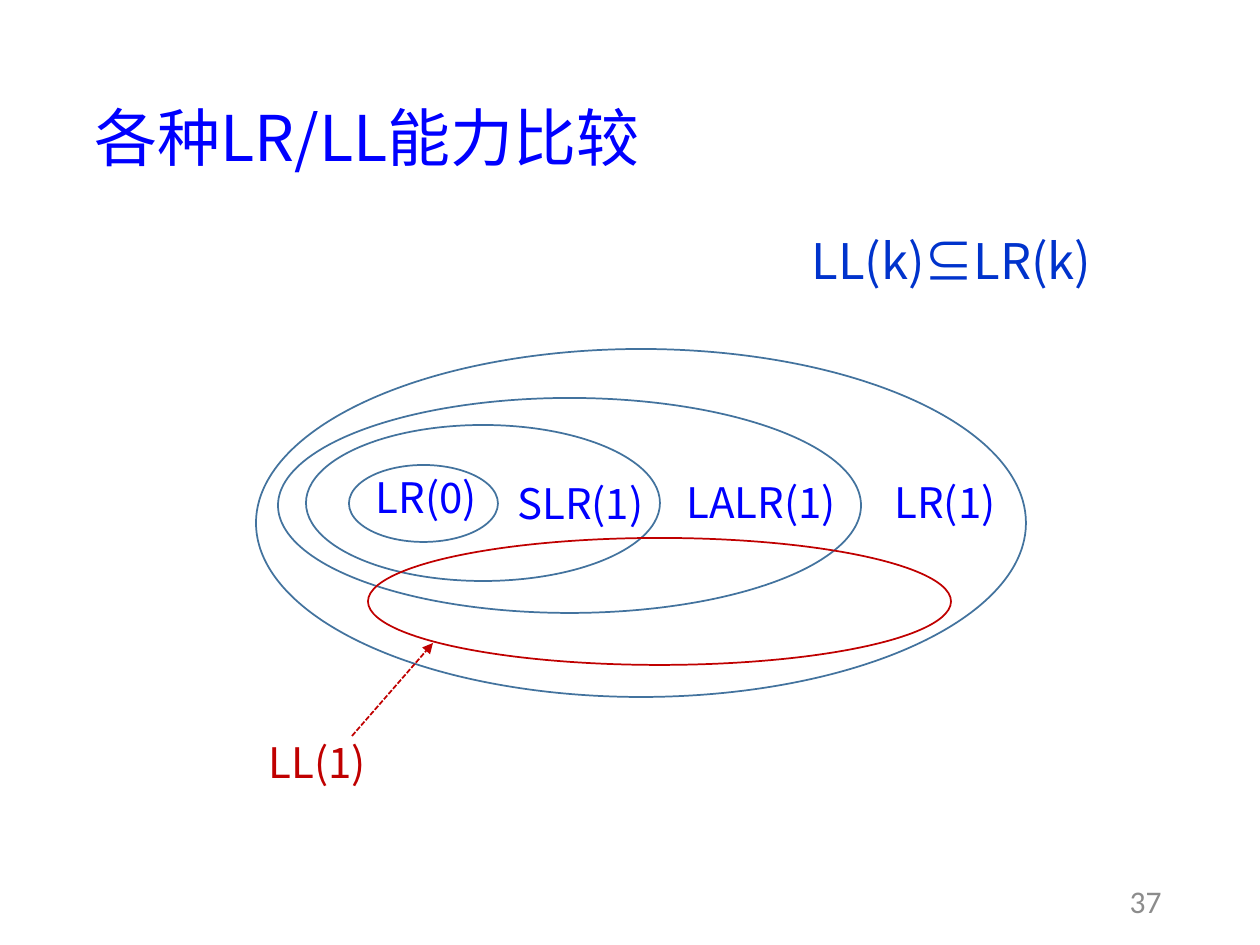
from lxml import etree
from pptx import Presentation
from pptx.dml.color import RGBColor
from pptx.enum.dml import MSO_LINE
from pptx.enum.shapes import MSO_CONNECTOR, MSO_SHAPE
from pptx.enum.text import MSO_ANCHOR, MSO_AUTO_SIZE, PP_ALIGN
from pptx.oxml.ns import qn
from pptx.util import Pt

OVAL, STRAIGHT = MSO_SHAPE.OVAL, MSO_CONNECTOR.STRAIGHT
TOP, MIDDLE = MSO_ANCHOR.TOP, MSO_ANCHOR.MIDDLE
LEFT, MID, RIGHT = PP_ALIGN.LEFT, PP_ALIGN.CENTER, PP_ALIGN.RIGHT
DASH, FIXED = MSO_LINE.SQUARE_DOT, MSO_AUTO_SIZE.NONE
SCALE = 914400 / 126
HEAD, SANS, PLAIN = "Noto Sans CJK JP", "Noto Sans CJK SC", "Calibri"
BLUE, NAVY, STEEL, RED, GREY = "0000FF", "0033CC", "43739E", "C00000", "8C8C8C"

# Content: boxes are left, top, width, height in px
TITLE = ("各种LR/LL能力比较", (82, 79, 622, 125))
CORE = ("LR(0)", (363, 471, 144, 78))
SETS = [
    ((349, 465, 149, 77), STEEL),
    ((306, 425, 354, 156), STEEL),
    ((278, 398, 583, 215), STEEL),
    ((256, 349, 770, 348), STEEL),
    ((368, 538, 583, 127), RED),
]
LABELS = [
    ("SLR(1)", (505, 471, 175, 66), BLUE, LEFT),
    ("LALR(1)", (674, 470, 181, 73), BLUE, LEFT),
    ("LR(1)", (882, 470, 163, 88), BLUE, LEFT),
    ("LL(1)", (242, 730, 151, 73), RED, MID),
]
RULE = ("LL(k)⊆LR(k)", (789, 224, 325, 92))
PAGE = ("37", (890, 876, 284, 50))
ARROW = (352, 736, 433, 643)


def emu(*nums):
    return [round(n * SCALE) for n in nums]


def tint(code):
    return RGBColor.from_string(code)


def write(shape, text, box, size, font, color, align=LEFT, anchor=TOP):
    shape.left, shape.top, shape.width, shape.height = emu(*box)
    frame = shape.text_frame
    frame.text = text
    frame.word_wrap = True
    frame.auto_size = FIXED
    frame.vertical_anchor = anchor
    para = frame.paragraphs[0]
    para.alignment = align
    run = para.runs[0]
    run.font.size, run.font.name = Pt(size), font
    run.font.color.rgb = tint(color)
    east = etree.SubElement(run.font._element, qn("a:ea"))
    east.set("typeface", font)
    return para


def hang(para, gap):
    para.space_before = para.space_after = Pt(gap)
    props = para._p.get_or_add_pPr()
    props.set("marL", "228600")
    props.set("indent", "-228600")
    etree.SubElement(props, qn("a:buNone"))


def label(text, box, *style):
    return write(shapes.add_textbox(0, 0, 0, 0), text, box, *style)


deck = Presentation()
deck.slide_width, deck.slide_height = emu(1260, 945)
slide = deck.slides.add_slide(deck.slide_layouts[1])
shapes = slide.shapes

# Title and innermost set name
para = write(shapes.title, *TITLE, 36, HEAD, BLUE, LEFT, MIDDLE)
para.line_spacing = 0.9
para = write(slide.placeholders[1], *CORE, 24, SANS, BLUE)
para.line_spacing = 0.9
hang(para, 12)

# Nested grammar classes
for box, color in SETS:
    oval = shapes.add_shape(OVAL, *emu(*box))
    oval.shadow.inherit = False
    oval.fill.background()
    oval.line.color.rgb = tint(color)
    oval.line.width = Pt(1)

# Class names, inclusion rule and page number
for text, box, color, align in LABELS:
    hang(label(text, box, 24, SANS, color, align), 6)
hang(label(*RULE, 28, SANS, NAVY, MID), 6)
label(*PAGE, 18, PLAIN, GREY, RIGHT, MIDDLE)

# Dashed arrow from LL(1) to its set
arrow = shapes.add_connector(STRAIGHT, *emu(*ARROW))
arrow.line.color.rgb = tint(RED)
arrow.line.width = Pt(1)
arrow.line.dash_style = DASH
tip = etree.SubElement(arrow.line._get_or_add_ln(), qn("a:tailEnd"))
tip.set("type", "triangle")
etree.SubElement(arrow._element.spPr, qn("a:effectLst"))

deck.save("out.pptx")
